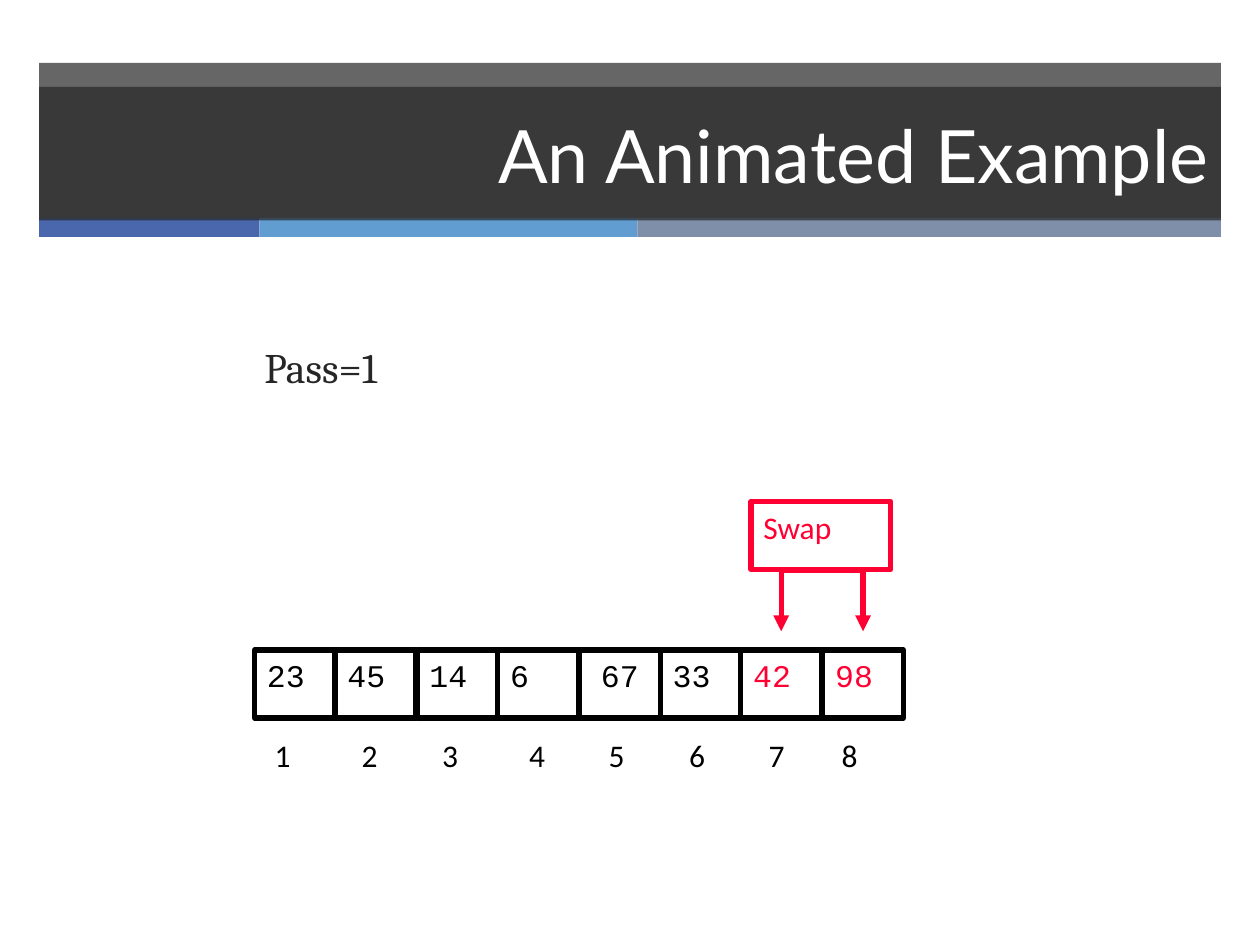
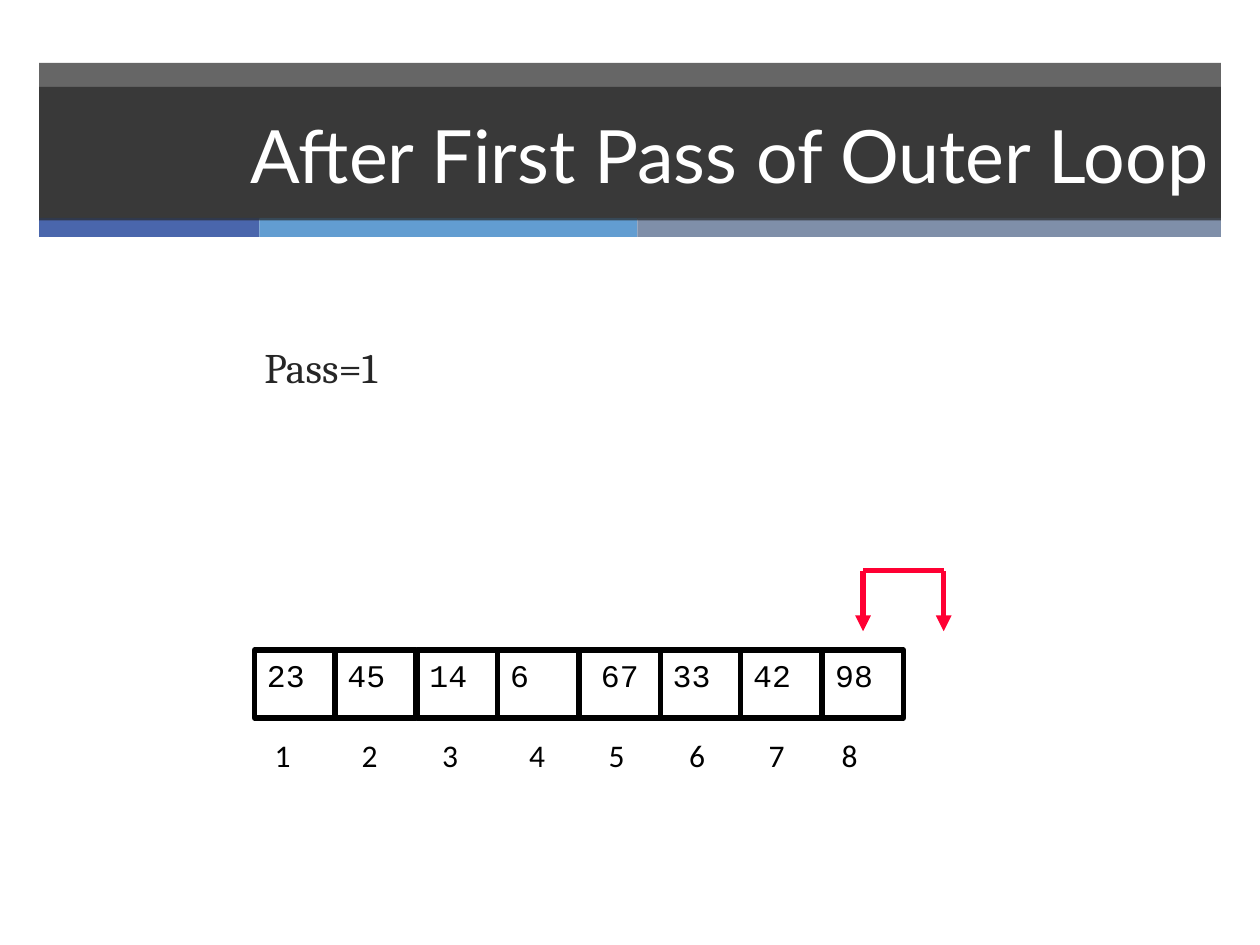
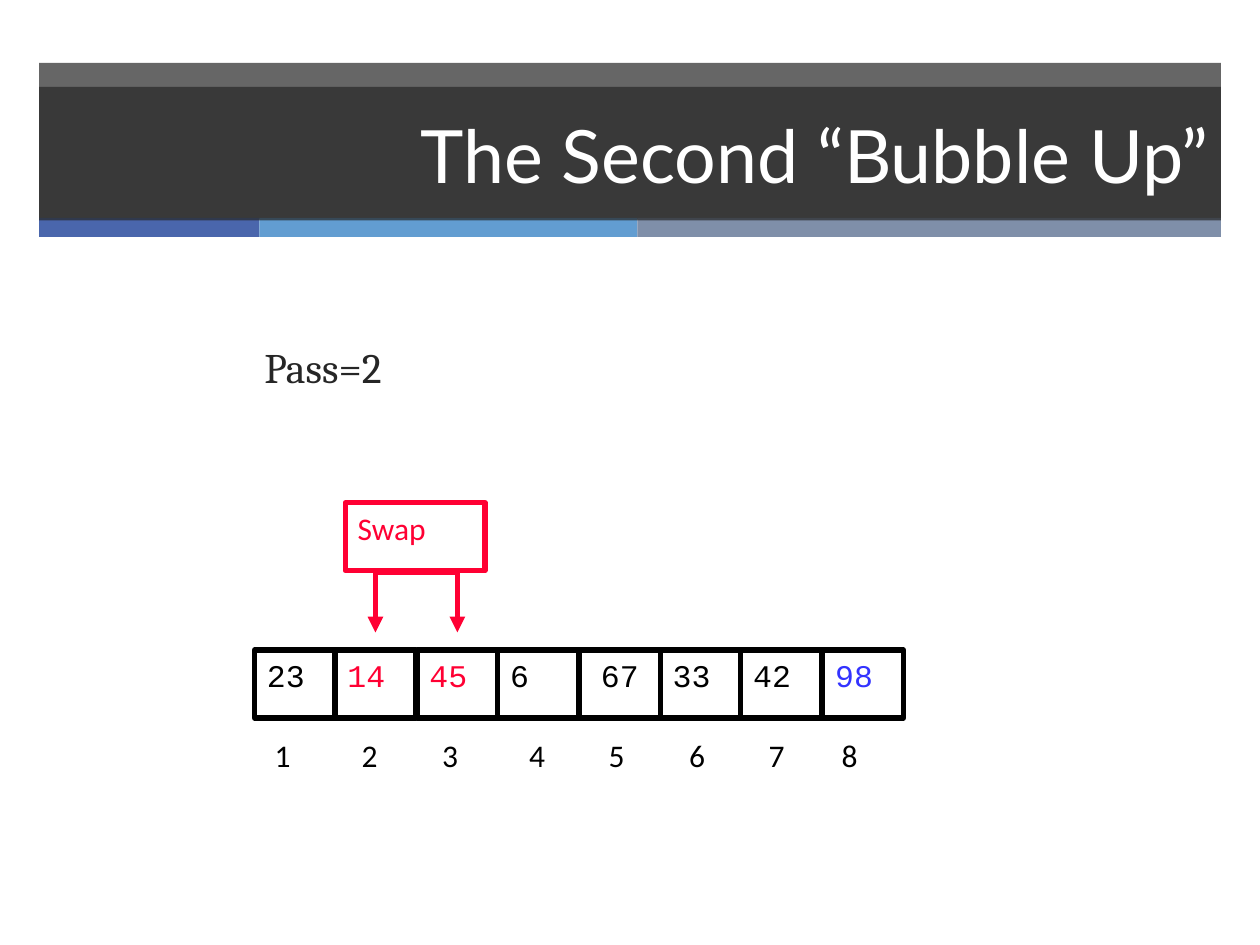
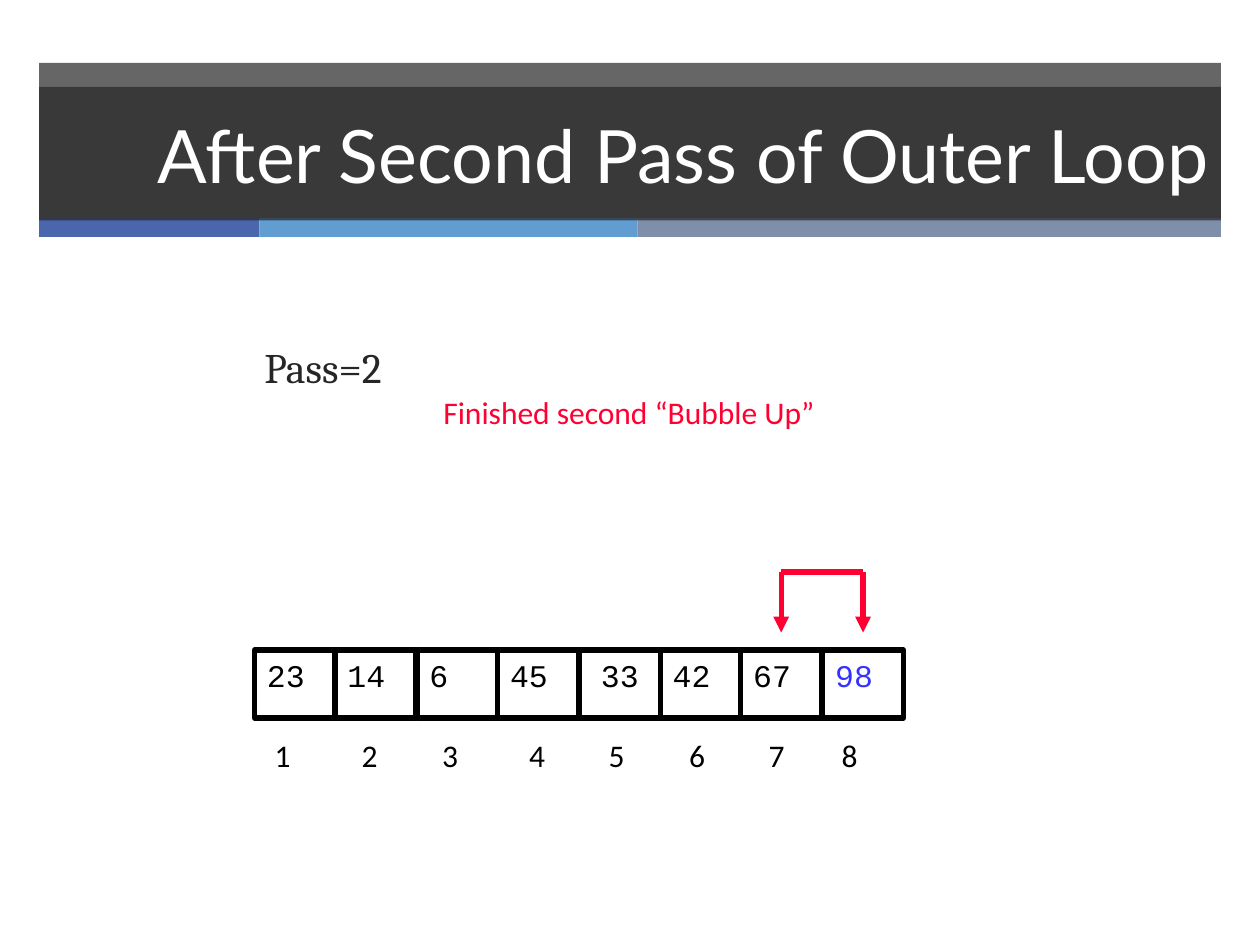
from dataclasses import dataclass

from lxml.etree import SubElement
from pptx import Presentation
from pptx.dml.color import RGBColor
from pptx.enum.shapes import MSO_CONNECTOR, MSO_SHAPE
from pptx.enum.text import MSO_ANCHOR, MSO_AUTO_SIZE, PP_ALIGN
from pptx.oxml.ns import qn
from pptx.util import Emu, Pt

# Lengths are px, 100 to the inch
PX = 9144

BLACK = RGBColor(0x00, 0x00, 0x00)
WHITE = RGBColor(0xFF, 0xFF, 0xFF)
DARK = RGBColor(0x26, 0x26, 0x26)
RED = RGBColor(0xFF, 0x00, 0x33)
SORTED_BLUE = RGBColor(0x33, 0x33, 0xFF)
INDIGO = RGBColor(0x4A, 0x66, 0xAC)
SKY = RGBColor(0x62, 0x9D, 0xD1)
SLATE = RGBColor(0x7F, 0x8F, 0xA9)

TITLE_FONT, BODY_FONT = "Lato", "Calibri"
PASS_FONT, CELL_FONT = "Cambria", "Courier New"

BAND_LEFT, BAND_WIDTH = 31, 938
BAND_OPACITY = 70
STRIPS = ((175, INDIGO), (300, SKY), (463, SLATE))

CELL_COUNT = 8
CENTRED_CELL = 4
ROW_LEFT, ROW_TOP, ROW_WIDTH, CELL_HEIGHT = 202, 516, 515, 54
CELL_WIDTH = round(ROW_WIDTH / CELL_COUNT)
INDEX_TABS = (69, 133, 202, 265, 329, 392, 450)
BRACKET_HEIGHT = 48


@dataclass(frozen=True)
class Box:
    left: int
    top: int
    width: int
    height: int

    def emu(self) -> tuple:
        return tuple(px(v) for v in (self.left, self.top, self.width, self.height))


@dataclass(frozen=True)
class Style:
    font: str
    size: int
    color: RGBColor
    align: PP_ALIGN = PP_ALIGN.LEFT


@dataclass(frozen=True)
class Step:
    title: str
    pass_number: int
    values: tuple
    bracket_cell: int
    bracket_top: int
    swap: bool = False
    sorted_from: int = CELL_COUNT
    note: str = ""


STEPS = (
    Step("An Animated Example", 1, (23, 45, 14, 6, 67, 33, 42, 98), 6, 453, swap=True),
    Step("After First Pass of Outer Loop", 1, (23, 45, 14, 6, 67, 33, 42, 98), 7, 453),
    Step("The Second “Bubble Up”", 2, (23, 14, 45, 6, 67, 33, 42, 98), 1, 454,
         swap=True, sorted_from=7),
    Step("After Second Pass of Outer Loop", 2, (23, 14, 6, 45, 33, 42, 67, 98), 6, 454,
         sorted_from=7, note="Finished second “Bubble Up”"),
)


def px(value: int) -> Emu:
    return Emu(value * PX)


def cell_left(i: int) -> int:
    return ROW_LEFT + round(i * ROW_WIDTH / CELL_COUNT)


def write(sp, text: str, style: Style, anchor=MSO_ANCHOR.TOP):
    """Fill a shape with one paragraph and return the paragraph."""
    tf = sp.text_frame
    tf.word_wrap = True
    tf.auto_size = MSO_AUTO_SIZE.NONE
    tf.vertical_anchor = anchor
    p = tf.paragraphs[0]
    p.text = text
    p.alignment = style.align
    p.font.name, p.font.size = style.font, Pt(style.size)
    p.font.color.rgb = style.color
    return p


def fill_solid(sp, color: RGBColor, opacity: int = 100) -> None:
    sp.fill.solid()
    sp.fill.fore_color.rgb = color
    if opacity < 100:
        clr = sp.element.spPr.find(f"{qn('a:solidFill')}/{qn('a:srgbClr')}")
        SubElement(clr, qn("a:alpha"), val=str(opacity * 1000))


def add_band(shapes, box: Box, color: RGBColor, opacity: int = 100) -> None:
    sp = shapes.add_shape(MSO_SHAPE.RECTANGLE, *box.emu())
    sp.shadow.inherit = False
    fill_solid(sp, color, opacity)
    sp.line.fill.background()


def add_frame(s, box: Box, line: RGBColor, text: str, style: Style) -> None:
    sp = s.shapes.add_shape(MSO_SHAPE.RECTANGLE, *box.emu())
    sp.shadow.inherit = False
    sp.fill.background()
    sp.line.color.rgb = line
    sp.line.width = Pt(3)
    write(sp, text, style)


def add_label(s, box: Box, text: str, style: Style):
    sp = s.shapes.add_textbox(*box.emu())
    return sp, write(sp, text, style)


def add_red_line(shapes, x1: int, y1: int, x2: int, y2: int, arrow: bool = False) -> None:
    """Draw a line, with its arrowhead at the first point."""
    c = shapes.add_connector(MSO_CONNECTOR.STRAIGHT, px(x1), px(y1), px(x2), px(y2))
    c.line.color.rgb = RED
    c.line.width = Pt(3)
    if arrow:
        SubElement(c.line._get_or_add_ln(), qn("a:headEnd"), type="triangle")
    SubElement(c.element.spPr, qn("a:effectLst"))


def add_header(s, text: str) -> None:
    add_band(s.shapes, Box(BAND_LEFT, 50, BAND_WIDTH, 124), DARK, BAND_OPACITY)
    strips = s.shapes.add_group_shape().shapes
    left = BAND_LEFT
    for width, color in STRIPS:
        add_band(strips, Box(left, 173, width, 15), color)
        left += width
    title = s.shapes.title
    title.left, title.top, title.width, title.height = Box(BAND_LEFT, 69, BAND_WIDTH, 106).emu()
    fill_solid(title, DARK, BAND_OPACITY)
    write(title, text, Style(TITLE_FONT, 42, WHITE, PP_ALIGN.RIGHT), MSO_ANCHOR.MIDDLE)
    # Bring the title in front of the band
    title.element.getparent().append(title.element)


def add_array(s, step: Step) -> None:
    swapped = (step.bracket_cell, step.bracket_cell + 1) if step.swap else ()
    for i, value in enumerate(step.values):
        color = RED if i in swapped else SORTED_BLUE if i >= step.sorted_from else BLACK
        align = PP_ALIGN.CENTER if i == CENTRED_CELL else PP_ALIGN.LEFT
        box = Box(cell_left(i), ROW_TOP, CELL_WIDTH, CELL_HEIGHT)
        add_frame(s, box, BLACK, str(value), Style(CELL_FONT, 18, color, align))


def add_indexes(s) -> None:
    text = "\t".join(str(i + 1) for i in range(CELL_COUNT))
    sp, p = add_label(s, Box(ROW_LEFT, 579, ROW_WIDTH, 40), text, Style(BODY_FONT, 18, BLACK))
    sp.text_frame.margin_left = px(16)
    pPr = p._p.get_or_add_pPr()
    tabs = pPr.makeelement(qn("a:tabLst"), {})
    for pos in INDEX_TABS:
        SubElement(tabs, qn("a:tab"), pos=str(px(pos)), algn="l")
    pPr.find(qn("a:defRPr")).addprevious(tabs)


def add_bracket(s, step: Step) -> None:
    left, right = (cell_left(step.bracket_cell + k) + CELL_WIDTH // 2 for k in (0, 1))
    top = step.bracket_top
    lines = s.shapes.add_group_shape().shapes
    for x in (left, right):
        add_red_line(lines, x, top + BRACKET_HEIGHT, x, top, arrow=True)
    add_red_line(lines, left, top, right, top)
    if step.swap:
        add_frame(s, Box(left - 24, top - 55, 111, 54), RED, "Swap", Style(BODY_FONT, 18, RED))


def add_step(prs, step: Step) -> None:
    s = prs.slides.add_slide(prs.slide_layouts[5])
    add_header(s, step.title)
    add_array(s, step)
    add_bracket(s, step)
    if step.note:
        add_label(s, Box(342, 307, 492, 50), step.note, Style(BODY_FONT, 18, RED))
    add_indexes(s)
    add_label(s, Box(200, 266, 500, 50), f"Pass={step.pass_number}", Style(PASS_FONT, 24, DARK))


def main() -> None:
    prs = Presentation()
    prs.slide_width, prs.slide_height = px(1000), px(750)
    for step in STEPS:
        add_step(prs, step)
    prs.save("out.pptx")


if __name__ == "__main__":
    main()
